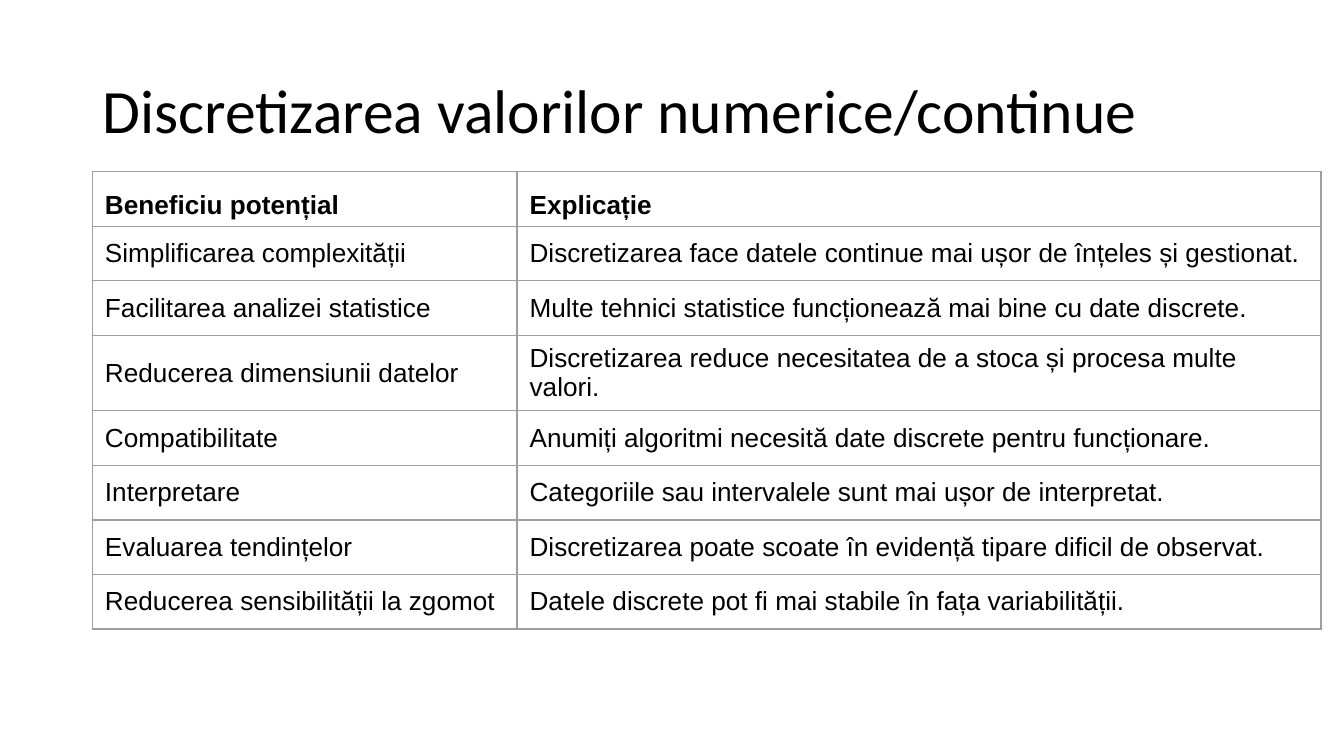
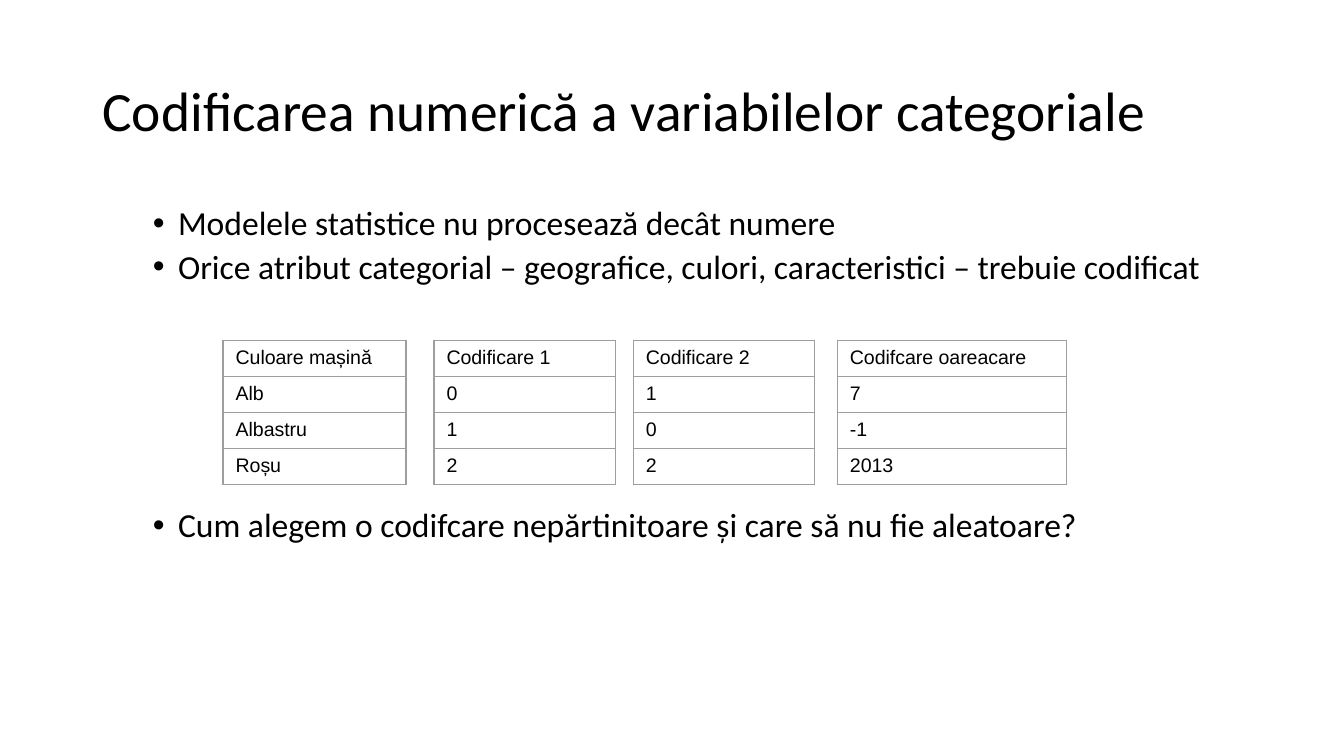
"""Builds two slides on discretising values and encoding categorical variables."""
from dataclasses import dataclass

import lxml.etree
import pptx
import pptx.dml.color
import pptx.enum.text
import pptx.oxml.ns
import pptx.util

Pt = pptx.util.Pt
RGB = pptx.dml.color.RGBColor
ANCHOR = pptx.enum.text.MSO_ANCHOR
qn = pptx.oxml.ns.qn


@dataclass(frozen=True)
class Theme:
    ink: str = "000000"
    border: str = "9E9E9E"
    heading_font: str = "Calibri"
    table_font: str = "Arial"
    body_size: float = 18
    table_size: float = 14
    small_size: float = 10.5


theme = Theme()


def write(p, text, font=theme.heading_font, size=theme.body_size, bold=False,
          line=None, before=None, bullet=None):
    if bullet:
        pPr = p._p.get_or_add_pPr()
        pPr.set("marL", str(Pt(40.5)))
        pPr.set("indent", str(Pt(-13.5)))
        lxml.etree.SubElement(pPr, qn("a:buFont")).set("typeface", "Arial")
        lxml.etree.SubElement(pPr, qn("a:buChar")).set("char", bullet)
    if line:
        p.line_spacing = line
    if before:
        p.space_before = Pt(before)
    r = p.add_run()
    r.text = text
    r.font.name = font
    r.font.size = Pt(size)
    r.font.bold = bold
    r.font.color.rgb = RGB.from_string(theme.ink)


def add_grid(s, rows, left, top, widths, row_height, size, anchors, bold_header=False):
    frame = s.shapes.add_table(len(rows), len(widths), Pt(left), Pt(top),
                               Pt(sum(widths)), Pt(row_height * len(rows)))
    table = frame.table
    table.first_row = False
    table.horz_banding = False
    for column, width in zip(table.columns, widths):
        column.width = Pt(width)
    for i, row in enumerate(rows):
        table.rows[i].height = Pt(row_height)
        for j, text in enumerate(row):
            cell = table.cell(i, j)
            cell.margin_left = cell.margin_right = Pt(6.75)
            cell.margin_top = cell.margin_bottom = Pt(3.38)
            cell.vertical_anchor = anchors[min(i, 1)]
            cell.fill.background()
            tcPr = cell._tc.get_or_add_tcPr()
            for k, side in enumerate(("a:lnL", "a:lnR", "a:lnT", "a:lnB")):
                ln = lxml.etree.Element(qn(side), w=str(Pt(0.75)))
                fill = lxml.etree.SubElement(ln, qn("a:solidFill"))
                lxml.etree.SubElement(fill, qn("a:srgbClr")).set("val", theme.border)
                tcPr.insert(k, ln)
            write(cell.text_frame.paragraphs[0], text, font=theme.table_font,
                  size=size, bold=bold_header and i == 0)


prs = pptx.Presentation()
prs.slide_width = Pt(720)
prs.slide_height = Pt(405)

titles = [
    ("Discretizarea valorilor numerice/continue", 33),
    ("Codificarea numerică a variabilelor categoriale", 29.7),
]
slides = []
for title, size in titles:
    s = prs.slides.add_slide(prs.slide_layouts[6])
    frames = []
    for top, height, anchor in ((21.6, 78.3, ANCHOR.MIDDLE), (108, 257, ANCHOR.TOP)):
        if anchor == ANCHOR.TOP and not slides:
            continue
        sp = s.shapes.add_textbox(Pt(49.5), Pt(top), Pt(621), Pt(height))
        tf = sp.text_frame
        tf.word_wrap = True
        tf.vertical_anchor = anchor
        tf.margin_left = tf.margin_right = Pt(5.4)
        tf.margin_top = tf.margin_bottom = Pt(2.7)
        frames.append(tf)
    write(frames[0].paragraphs[0], title, size=size, line=0.9)
    slides.append(s)

benefits = [
    ("Beneficiu potențial", "Explicație"),
    ("Simplificarea complexității",
     "Discretizarea face datele continue mai ușor de înțeles și gestionat."),
    ("Facilitarea analizei statistice",
     "Multe tehnici statistice funcționează mai bine cu date discrete."),
    ("Reducerea dimensiunii datelor",
     "Discretizarea reduce necesitatea de a stoca și procesa multe valori."),
    ("Compatibilitate", "Anumiți algoritmi necesită date discrete pentru funcționare."),
    ("Interpretare", "Categoriile sau intervalele sunt mai ușor de interpretat."),
    ("Evaluarea tendințelor",
     "Discretizarea poate scoate în evidență tipare dificil de observat."),
    ("Reducerea sensibilității la zgomot",
     "Datele discrete pot fi mai stabile în fața variabilității."),
]
add_grid(slides[0], benefits, 49.5, 92, (227.5, 430.7), 29.25, theme.table_size,
         (ANCHOR.BOTTOM, ANCHOR.MIDDLE), bold_header=True)

bullets = [
    ("Modelele statistice nu procesează decât numere", None),
    ("Orice atribut categorial – geografice, culori, caracteristici – trebuie codificat", 3.8),
    ("Cum alegem o codifcare nepărtinitoare și care să nu fie aleatoare?", 119),
]
body = frames[1]
for i, (text, before) in enumerate(bullets):
    p = body.add_paragraph() if i else body.paragraphs[0]
    write(p, text, line=0.9, before=before, bullet="•")

encodings = [
    (119.5, 98, ("Culoare mașină", "Alb", "Albastru", "Roșu")),
    (232.5, 97.2, ("Codificare 1", "0", "1", "2")),
    (339.3, 97.2, ("Codificare 2", "1", "0", "2")),
    (448.6, 122.6, ("Codifcare oareacare", "7", "-1", "2013")),
]
for left, width, values in encodings:
    add_grid(slides[1], [(value,) for value in values], left, 182.2, (width,), 18.9,
             theme.small_size, (ANCHOR.TOP, ANCHOR.TOP))

prs.save("out.pptx")
